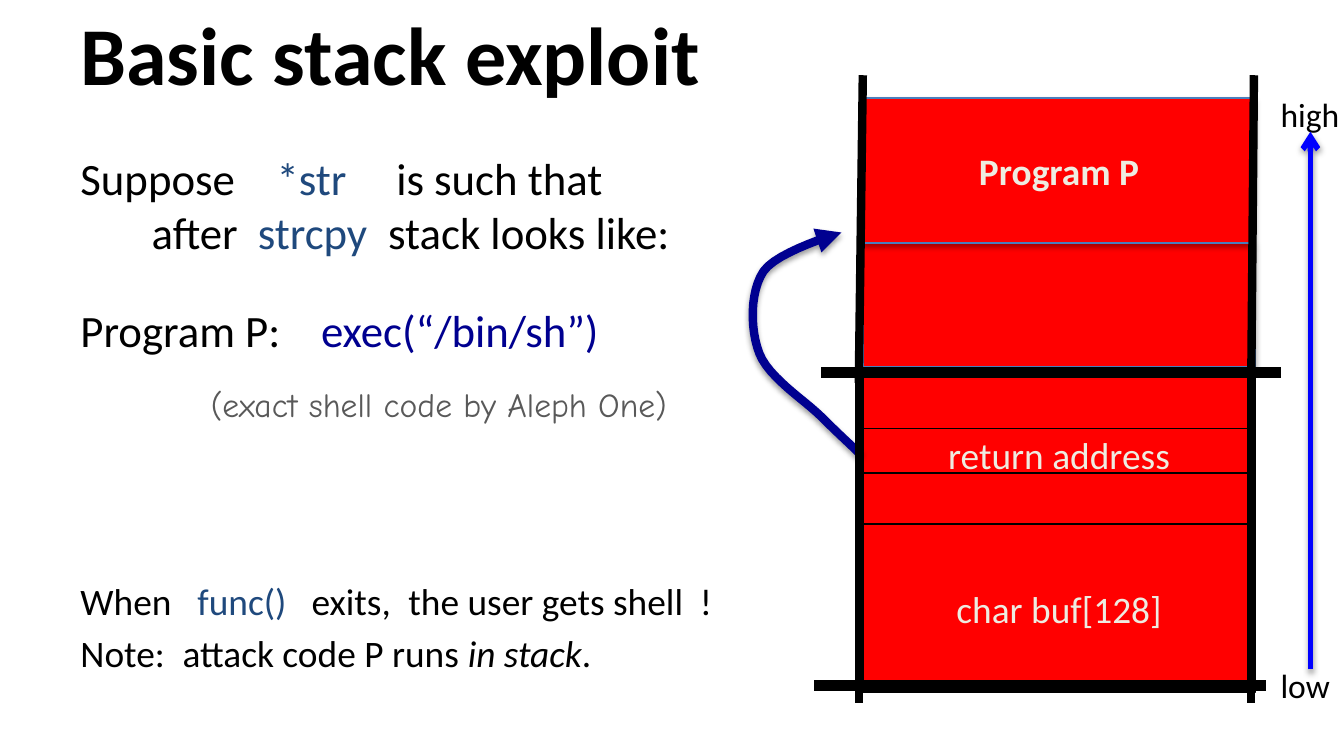
"""Build the slide that explains a basic stack exploit."""
from lxml.etree import SubElement
from pptx import Presentation
from pptx.dml.color import RGBColor
from pptx.enum.shapes import MSO_CONNECTOR, MSO_SHAPE
from pptx.enum.text import MSO_ANCHOR, PP_ALIGN
from pptx.oxml.ns import qn
from pptx.util import Inches, Pt

BLACK = RGBColor(0, 0, 0)
RED = RGBColor(0xFF, 0, 0)
CREAM = RGBColor(0xEE, 0xEC, 0xE1)
STEEL = RGBColor(0x4B, 0x7E, 0xBC)
DENIM = RGBColor(0x1F, 0x49, 0x7D)
NAVY = RGBColor(0, 0, 0x90)
BLUE = RGBColor(0, 0, 0xFF)
GREY = RGBColor(0x59, 0x59, 0x59)


def set_effects(item, opacity=0, tail=None):
    properties = item._element.spPr
    if tail:
        SubElement(properties.find(qn("a:ln")), qn("a:tailEnd"), type=tail)
    effects = SubElement(properties, qn("a:effectLst"))
    if opacity:
        shadow = SubElement(effects, qn("a:outerShdw"), blurRad=str(Pt(3.1)),
                            dist=str(Pt(1.8)), dir="5400000", rotWithShape="0")
        color = SubElement(shadow, qn("a:srgbClr"), val="000000")
        SubElement(color, qn("a:alpha"), val=str(opacity * 1000))


def style_text(paragraph, size, color, bold=False, name="Calibri"):
    font = paragraph.font
    font.name, font.size, font.bold = name, Pt(size), bold
    font.color.rgb = color


prs = Presentation()
prs.slide_width = Inches(10)
prs.slide_height = Inches(10 * 9 / 16)
slide = prs.slides.add_slide(prs.slide_layouts[6])
shapes = slide.shapes

CELLS = [
    (6.42, 2.81, 0.38, "", False, BLACK, 0),
    (6.39, 3.9, 1.25, "", False, BLACK, 0),
    (6.42, 3.9, 1.25, "char buf[128]", False, BLACK, 0),
    (6.42, 3.19, 0.38, "return address", False, BLACK, 0),
    (6.42, 3.52, 0.38, "", False, BLACK, 0),
    (6.42, 1.81, 0.92, "", False, STEEL, 35),
    (6.42, 0.73, 1.08, "Program P", True, STEEL, 35),
]
for left, top, height, label, bold, outline, opacity in CELLS:
    cell = shapes.add_shape(MSO_SHAPE.RECTANGLE, Inches(left), Inches(top),
                            Inches(2.92), Inches(height))
    cell.fill.solid()
    cell.fill.fore_color.rgb = RED
    cell.line.color.rgb = outline
    cell.line.width = Pt(0.75)
    set_effects(cell, opacity)
    if label:
        cell.text_frame.text = label
        cell.text_frame.word_wrap = False
        cell.text_frame.vertical_anchor = MSO_ANCHOR.MIDDLE
        paragraph = cell.text_frame.paragraphs[0]
        paragraph.alignment = PP_ALIGN.CENTER
        style_text(paragraph, 20, CREAM, bold)

LABELS = [
    (0.5, -0.05, 5.92, 0.86, "Basic stack exploit", 44, BLACK, True, "Calibri"),
    (1.47, 2.81, 3.95, 0.4, "(exact shell code by Aleph One)", 18, GREY, False, "Comic Neue"),
    (9.43, 4.9, 0.57, 0.4, "low", 18, BLACK, False, "Calibri"),
    (9.43, 0.65, 0.64, 0.4, "high", 18, BLACK, False, "Calibri"),
]
for left, top, width, height, label, size, color, bold, name in LABELS:
    frame = shapes.add_textbox(Inches(left), Inches(top), Inches(width),
                               Inches(height)).text_frame
    frame.text = label
    frame.word_wrap = False
    frame.vertical_anchor = MSO_ANCHOR.BOTTOM if bold else MSO_ANCHOR.TOP
    style_text(frame.paragraphs[0], size, color, bold, name)

EXPLANATION = [
    (24, 0, (1.46, 2.35), [("Suppose\t", BLACK), ("*str", DENIM), ("\tis such that", BLACK)]),
    (24, 0, (0.53, 1.32, 2.29),
     [("\tafter\t", BLACK), ("strcpy", DENIM), ("\tstack looks like:", BLACK)]),
    (24, 23.8, (1.79,), [("Program P:\t", BLACK), ("exec(“/bin/sh”)", NAVY)]),
    (20, 119, (0.87, 1.72, 2.44, 4.61),
     [("When\t", BLACK), ("func()", DENIM), ("\texits,\tthe user gets shell\t!", BLACK)]),
    (20, 4, (0.76,), [("Note:\tattack code P runs ", BLACK), ("in stack", BLACK), (".", BLACK)]),
]
body = shapes.add_textbox(Inches(0.5), Inches(1.07), Inches(5.08), Inches(4.58)).text_frame
body.word_wrap = True
for index, (size, gap, stops, parts) in enumerate(EXPLANATION):
    paragraph = body.add_paragraph() if index else body.paragraphs[0]
    paragraph.space_before = Pt(gap)
    tabs = SubElement(paragraph._p.get_or_add_pPr(), qn("a:tabLst"))
    for stop in stops:
        SubElement(tabs, qn("a:tab"), pos=str(Inches(stop)), algn="l")
    style_text(paragraph, size, BLACK)
    for text, color in parts:
        run = paragraph.add_run()
        run.text = text
        run.font.color.rgb = color
        if text == "in stack":
            run.font.italic = True

CURVES = [
    ((6.4, 3.38), (6.32, 3.3), (6.24, 3.23), (6.11, 3.1)),
    ((6.11, 3.1), (5.99, 2.98), (5.72, 2.81), (5.65, 2.63)),
    ((5.65, 2.63), (5.58, 2.45), (5.58, 2.17), (5.68, 2.02)),
    ((5.68, 2.02), (5.78, 1.87), (6.26, 1.73), (6.26, 1.73)),
]
STEPS = 12
jump_points = []
for curve in CURVES:
    for step in range(1, STEPS + 1):
        t = step / STEPS
        weights = ((1 - t) ** 3, 3 * t * (1 - t) ** 2, 3 * t ** 2 * (1 - t), t ** 3)
        jump_points.append(tuple(
            Inches(sum(w * point[axis] for w, point in zip(weights, curve)))
            for axis in (0, 1)))
builder = shapes.build_freeform(Inches(6.4), Inches(3.38))
builder.add_line_segments(jump_points, close=False)
jump = builder.convert_to_shape()
jump.fill.background()
jump.line.color.rgb = NAVY
jump.line.width = Pt(4.5)
set_effects(jump, 38, "triangle")

LINES = [
    (6.06, 5.1, 9.42, 5.1, BLACK, 6, 0, None),
    (6.11, 2.77, 9.53, 2.77, BLACK, 6, 0, None),
    (6.39, 4.64, 6.39, 5.23, BLACK, 4.5, 0, None),
    (9.31, 4.64, 9.31, 5.23, BLACK, 4.5, 0, None),
    (9.33, 0.56, 9.31, 2.85, BLACK, 4.5, 0, None),
    (6.42, 0.56, 6.39, 2.85, BLACK, 4.5, 0, None),
    (9.75, 4.98, 9.75, 0.98, BLUE, 3, 38, "arrow"),
]
for x1, y1, x2, y2, color, width, opacity, tail in LINES:
    edge = shapes.add_connector(MSO_CONNECTOR.STRAIGHT, Inches(x1), Inches(y1),
                                Inches(x2), Inches(y2))
    edge.line.color.rgb = color
    edge.line.width = Pt(width)
    set_effects(edge, opacity, tail)

stack_frame = shapes.add_shape(MSO_SHAPE.RECTANGLE, Inches(6.39), Inches(2.77),
                               Inches(2.92), Inches(2.33))
stack_frame.fill.background()
stack_frame.line.color.rgb = BLACK
stack_frame.line.width = Pt(4.5)
set_effects(stack_frame)

prs.save("out.pptx")
